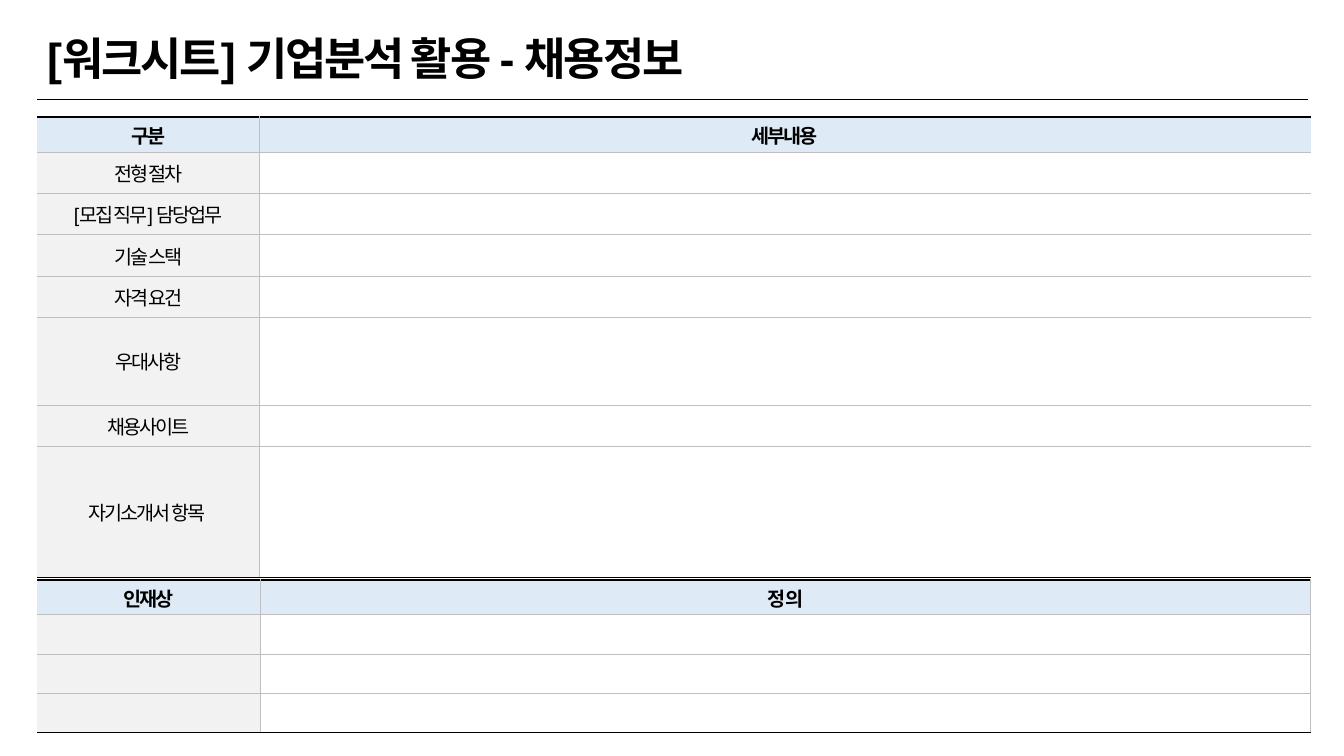
import pptx
import pptx.util
import pptx.dml.color
import pptx.enum.shapes
import pptx.enum.text
import pptx.oxml.ns
import lxml.etree

Inches = pptx.util.Inches
Pt = pptx.util.Pt
Anchor = pptx.enum.text.MSO_ANCHOR
Align = pptx.enum.text.PP_ALIGN
qn = pptx.oxml.ns.qn

BLACK, GRAY, BLUE, PALE = "000000", "BFBFBF", "DEEBF7", "F2F2F2"
THIN = (GRAY, 0.75)
LEFT = 0.37
JOBS = [
    ("구분", "세부내용", 0.35),
    ("전형 절차", "", 0.41),
    ("[모집 직무] 담당업무", "", 0.41),
    ("기술 스택", "", 0.41),
    ("자격 요건", "", 0.41),
    ("우대사항", "", 0.87),
    ("채용사이트", "", 0.41),
    ("자기소개서 항목 ", "", 1.3),
]
TALENT = [("인재상", "정 의", 0.35)] + [("", "", 0.39)] * 3


def color(code):
    return pptx.dml.color.RGBColor.from_string(code)


def write(para, text, size, bold):
    run = para.add_run()
    run.text = text
    font = run.font
    font.name, font.size, font.bold = "Arial", Pt(size), bold
    font.color.rgb = color(BLACK)
    font._element.set("spc", "-150")


def edge(cell, side, line):
    """Draw one side (L, R, T or B) of a cell, or clear it if line is None."""
    props = cell._tc.get_or_add_tcPr()
    ln = lxml.etree.SubElement(props, qn("a:ln" + side))
    if line is None:
        lxml.etree.SubElement(ln, qn("a:noFill"))
        return
    ln.set("w", str(Pt(line[1])))
    fill = lxml.etree.SubElement(ln, qn("a:solidFill"))
    lxml.etree.SubElement(fill, qn("a:srgbClr")).set("val", line[0])


def title(slide, left, top, width, height):
    box = slide.shapes.add_textbox(
        Inches(left), Inches(top), Inches(width), Inches(height))
    frame = box.text_frame
    frame.word_wrap = True
    frame.vertical_anchor = Anchor.MIDDLE
    para = frame.paragraphs[0]
    para.line_spacing = 0.9
    write(para, "[워크시트] 기업분석 활용 - 채용정보", 32, True)


def rule(slide, left, top, width):
    line = slide.shapes.add_connector(
        pptx.enum.shapes.MSO_CONNECTOR.STRAIGHT,
        Inches(left), Inches(top), Inches(left + width), Inches(top))
    line.line.color.rgb = color(BLACK)
    line.line.width = Pt(0.5)
    lxml.etree.SubElement(line._element.spPr, qn("a:effectLst"))


def sheet(slide, left, top, widths, rows, pad, lead, right):
    """Two-column form: pad is the cell inset (x, y), right the outer edge."""
    height = sum(row[2] for row in rows)
    table = slide.shapes.add_table(
        len(rows), 2, Inches(left), Inches(top),
        Inches(sum(widths)), Inches(height)).table
    table.first_row = table.horz_banding = False
    for col, width in zip(table.columns, widths):
        col.width = Inches(width)
    last = len(rows) - 1
    for r, (label, detail, tall) in enumerate(rows):
        table.rows[r].height = Inches(tall)
        for c, text in enumerate((label, detail)):
            cell = table.cell(r, c)
            cell.margin_left = cell.margin_right = Inches(pad[0])
            cell.margin_top = cell.margin_bottom = Inches(pad[1])
            cell.vertical_anchor = Anchor.MIDDLE
            edge(cell, "L", THIN if c else None)
            edge(cell, "R", right if c else THIN)
            edge(cell, "T", THIN if r else (BLACK, 1.5))
            edge(cell, "B", (BLACK, 1) if r == last else THIN)
            if r and c:
                cell.fill.background()
            else:
                cell.fill.solid()
                cell.fill.fore_color.rgb = color(PALE if r else BLUE)
            if text:
                para = cell.text_frame.paragraphs[0]
                para.alignment = Align.CENTER
                para.line_spacing = lead
                write(para, text, 14, r == 0)


def main():
    deck = pptx.Presentation()
    deck.slide_width, deck.slide_height = Inches(13.33), Inches(7.5)
    slide = deck.slides.add_slide(deck.slide_layouts[6])
    rule(slide, LEFT, 0.99, 12.6)
    title(slide, LEFT, 0.21, 11.5, 0.79)
    sheet(slide, LEFT, 1.16, (2.2, 10.43), JOBS, (0.07, 0.04), 1.0, None)
    sheet(slide, LEFT, 5.75, (2.21, 10.42), TALENT, (0.05, 0), 1.07, THIN)
    deck.save("out.pptx")


if __name__ == "__main__":
    main()
